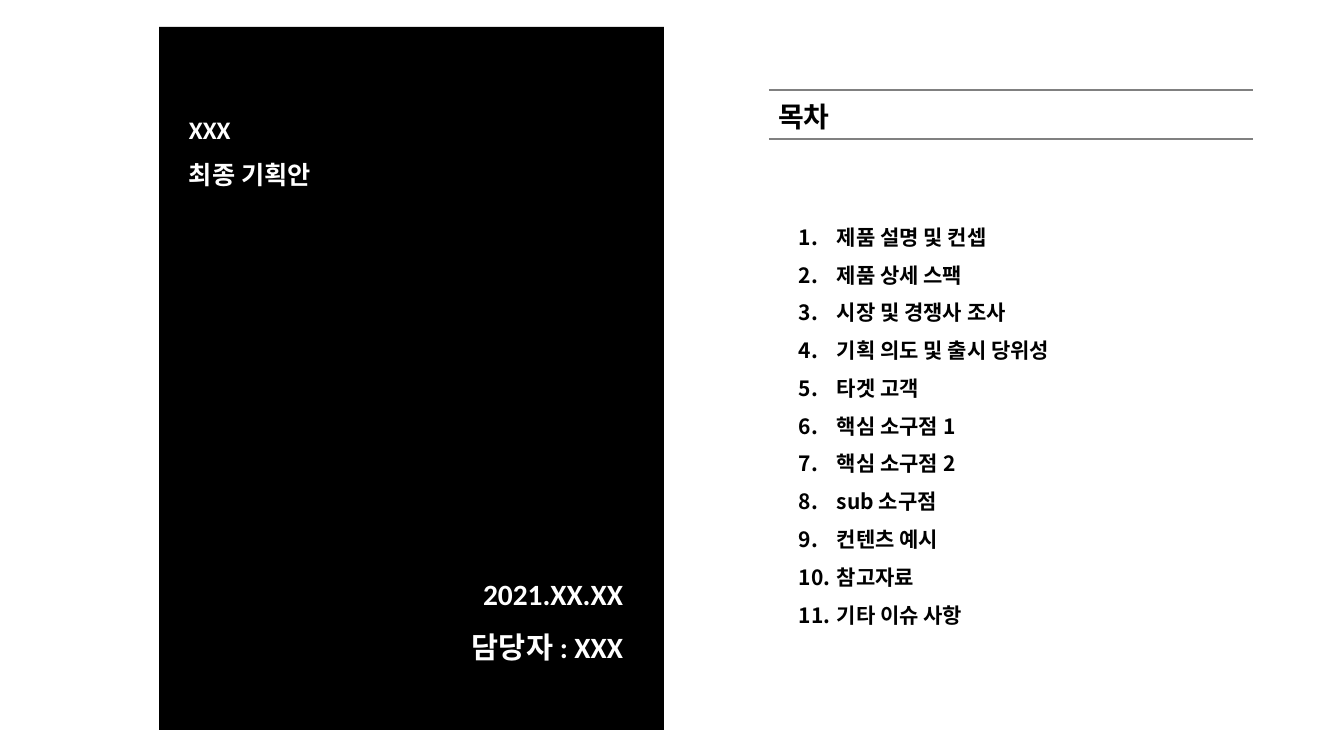
import pptx
import pptx.util
import pptx.dml.color
import pptx.enum.shapes
import pptx.enum.text
import pptx.oxml.ns
import lxml.etree

RGB = pptx.dml.color.RGBColor
BLACK = RGB(0, 0, 0)
WHITE = RGB(255, 255, 255)
GRAY = RGB(128, 128, 128)
HANGUL = "Noto Sans CJK KR"
ALIGN = pptx.enum.text.PP_ALIGN
ANCHOR = pptx.enum.text.MSO_ANCHOR

SIZE = (1344, 756)
COVER = (159, 27, 505, 703)
TITLE = ("목차", (768, 94, 397, 44))
RULES = {"left": 769, "right": 1253, "tops": (90, 139)}
INDENT = 38
TOPICS = [
    "제품 설명 및 컨셉",
    "제품 상세 스팩",
    "시장 및 경쟁사 조사",
    "기획 의도 및 출시 당위성",
    "타겟 고객",
    "핵심 소구점 1",
    "핵심 소구점 2",
    "sub 소구점",
    "컨텐츠 예시",
    "참고자료",
    "기타 이슈 사항",
]
BLOCKS = [
    (["XXX", "최종 기획안"], (179, 94, 296, 97),
     18, "Calibri", WHITE, ALIGN.LEFT, ANCHOR.TOP, False),
    (["2021.XX.XX", "담당자 : XXX"], (320, 554, 313, 111),
     21, "Calibri", WHITE, ALIGN.RIGHT, ANCHOR.TOP, False),
    (TOPICS, (789, 207, 446, 425),
     15, HANGUL, BLACK, ALIGN.LEFT, ANCHOR.MIDDLE, True),
]


def px(*nums):
    return [round(n * 914400 / 100.8) for n in nums]


def add(node, tag, **attrs):
    return lxml.etree.SubElement(node, pptx.oxml.ns.qn(tag), **attrs)


def number(para):
    props = para._p.get_or_add_pPr()
    gap = px(INDENT)[0]
    props.set("marL", str(gap))
    props.set("indent", str(-gap))
    add(props, "a:buAutoNum", type="arabicPeriod")


def fill(shape, lines, size, face, color, align, anchor, spacing, listed):
    frame = shape.text_frame
    frame.text = "\n".join(lines)
    frame.word_wrap = True
    frame.auto_size = pptx.enum.text.MSO_AUTO_SIZE.SHAPE_TO_FIT_TEXT
    frame.vertical_anchor = anchor
    for para in frame.paragraphs:
        if listed:
            number(para)
        para.alignment = align
        para.line_spacing = spacing
        for run in para.runs:
            font = run.font
            font.size = pptx.util.Pt(size)
            font.name = face
            font.bold = True
            font.color.rgb = color
            add(run._r.get_or_add_rPr(), "a:ea", typeface=HANGUL)


def main():
    deck = pptx.Presentation()
    deck.slide_width, deck.slide_height = px(*SIZE)
    slide = deck.slides.add_slide(deck.slide_layouts[5])
    shapes = slide.shapes

    cover = shapes.add_shape(
        pptx.enum.shapes.MSO_SHAPE.RECTANGLE, *px(*COVER))
    cover.shadow.inherit = False
    cover.fill.solid()
    cover.fill.fore_color.rgb = BLACK
    cover.line.fill.background()

    word, place = TITLE
    title = shapes.title
    title.left, title.top, title.width, title.height = px(*place)
    fill(title, [word], 20, "Arial", BLACK,
         ALIGN.LEFT, ANCHOR.TOP, 1.0, False)
    title.text_frame.paragraphs[0].space_after = pptx.util.Pt(7)

    for top in RULES["tops"]:
        rule = shapes.add_connector(
            pptx.enum.shapes.MSO_CONNECTOR.STRAIGHT,
            *px(RULES["left"], top, RULES["right"], top))
        rule.line.color.rgb = GRAY
        rule.line.width = pptx.util.Pt(1)
        add(rule._element.spPr, "a:effectLst")

    for lines, place, size, face, color, align, anchor, listed in BLOCKS:
        box = shapes.add_textbox(*px(*place))
        fill(box, lines, size, face, color, align, anchor, 1.5, listed)

    deck.save("out.pptx")


if __name__ == "__main__":
    main()
